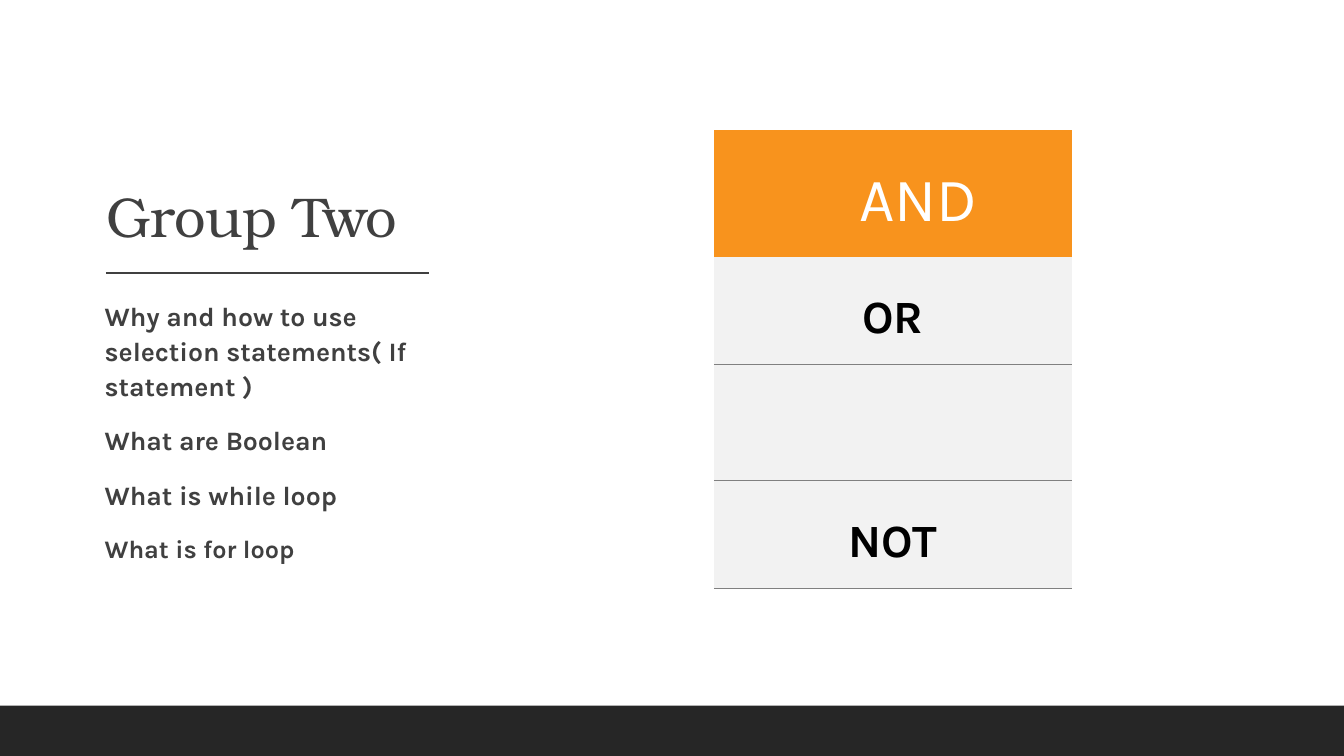
import pptx
import pptx.util
import pptx.dml.color
import pptx.enum.shapes
import pptx.enum.text
import pptx.oxml
import pptx.oxml.ns
import lxml.etree

Inches, Pt = pptx.util.Inches, pptx.util.Pt
MIDDLE = pptx.enum.text.MSO_ANCHOR.MIDDLE
CENTER = pptx.enum.text.PP_ALIGN.CENTER
LEFT = pptx.enum.text.PP_ALIGN.LEFT
DARK = "404040"


def rgb(value):
    return pptx.dml.color.RGBColor.from_string(value)


def add_run(p, text, size, color, bold=False, font="Karla"):
    r = p.add_run()
    r.text = text
    r.font.name = font
    r.font.size = Pt(size)
    r.font.bold = bold
    r.font.color.rgb = rgb(color)
    return r


prs = pptx.Presentation()
prs.slide_width = Inches(13.33)
prs.slide_height = Inches(7.5)
s = prs.slides.add_slide(prs.slide_layouts[5])
s.background.fill.solid()
s.background.fill.fore_color.rgb = rgb("FFFFFF")

# Title and rule
title = s.shapes.title
title.left, title.top = Inches(0.96), Inches(0.7)
title.width, title.height = Inches(3.48), Inches(1.83)
tf = title.text_frame
tf.word_wrap = True
tf.auto_size = pptx.enum.text.MSO_AUTO_SIZE.NONE
tf.vertical_anchor = pptx.enum.text.MSO_ANCHOR.BOTTOM
p = tf.paragraphs[0]
p.alignment = LEFT
p.line_spacing = 0.9
r = add_run(p, "Group Two", 40, DARK, font="TeX Gyre Bonum")
r.font._element.set("spc", "-50")

rule = s.shapes.add_connector(pptx.enum.shapes.MSO_CONNECTOR.STRAIGHT,
                              Inches(1.05), Inches(2.71), Inches(4.25), Inches(2.71))
rule.line.color.rgb = rgb(DARK)
rule.line.width = Pt(1)
lxml.etree.SubElement(rule._element.spPr, pptx.oxml.ns.qn("a:effectLst"))

# Questions
questions = [
    ("Why and how to use selection statements( If statement )", 19),
    ("What are Boolean", 19),
    ("What is while loop", 19),
    ("What is for loop", 18),
]
body = s.shapes.add_textbox(Inches(0.94), Inches(2.89), Inches(3.51), Inches(3.53))
tf = body.text_frame
tf.word_wrap = True
tf.margin_left = Inches(0.1)
tf.margin_right = 0
for i, (text, size) in enumerate(questions):
    p = tf.add_paragraph() if i else tf.paragraphs[0]
    p.line_spacing = 1.1
    p.space_before = Pt(12)
    p.space_after = Pt(2)
    add_run(p, text, size, DARK, bold=True)

# Footer band
band = s.shapes.add_shape(pptx.enum.shapes.MSO_SHAPE.RECTANGLE,
                          0, Inches(7), prs.slide_width, Inches(0.5))
band.shadow.inherit = False
band.fill.solid()
band.fill.fore_color.rgb = rgb("262626")
band.line.fill.background()

# Operator table: text, row height, size, colour, bold, fill
operators = [
    ("AND", 1.26, 44, "FFFFFF", False, "F8931D"),
    ("OR", 1.07, 33, "000000", True, "F2F2F2"),
    ("", 1.15, 33, "000000", True, "F2F2F2"),
    ("NOT", 1.07, 33, "000000", True, "F2F2F2"),
]
BORDER = (f'<a:lnB {pptx.oxml.ns.nsdecls("a")} w="9525"><a:solidFill>'
          '<a:srgbClr val="808080"/></a:solidFill></a:lnB>')
table = s.shapes.add_table(len(operators), 1, Inches(7.08), Inches(1.29),
                           Inches(3.55), Inches(4.55)).table
table.first_row = False
table.horz_banding = False
# "No Style, No Grid", so that only the borders set below are drawn
table._tbl.tblPr.find(pptx.oxml.ns.qn("a:tableStyleId")).text = \
    "{2D5ABB26-0587-4C30-8999-92F81FD0307C}"
for i, (text, height, size, color, bold, fill) in enumerate(operators):
    table.rows[i].height = Inches(height)
    cell = table.cell(i, 0)
    cell.vertical_anchor = MIDDLE
    cell.margin_left = cell.margin_right = cell.margin_top = Inches(0.28)
    cell.margin_bottom = Inches(0.14)
    cell.fill.solid()
    cell.fill.fore_color.rgb = rgb(fill)
    p = cell.text_frame.paragraphs[0]
    p.alignment = CENTER if i else LEFT
    if text:
        add_run(p, text, size, color, bold)
    if i:
        cell._tc.get_or_add_tcPr().insert(0, pptx.oxml.parse_xml(BORDER))
    else:
        cell.margin_left = Inches(1.44)

prs.save("out.pptx")
